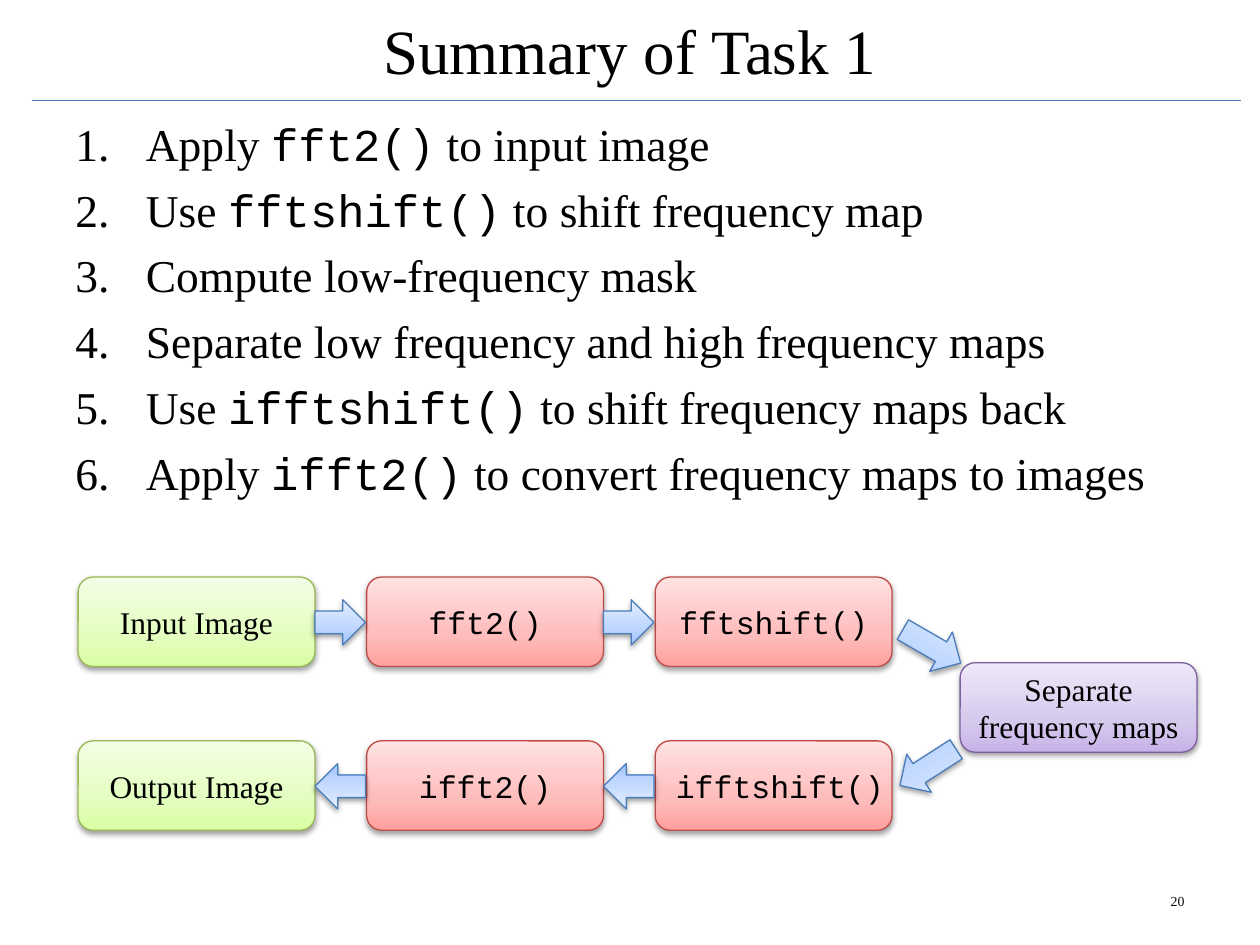
from dataclasses import dataclass

from lxml import etree
from pptx import Presentation
from pptx.dml.color import RGBColor
from pptx.enum.shapes import MSO_CONNECTOR, MSO_SHAPE
from pptx.enum.text import MSO_ANCHOR, MSO_AUTO_SIZE, PP_ALIGN
from pptx.oxml.ns import qn
from pptx.util import Inches, Pt

ROUNDED, ARROW = MSO_SHAPE.ROUNDED_RECTANGLE, MSO_SHAPE.RIGHT_ARROW
STRAIGHT = MSO_CONNECTOR.STRAIGHT
TOP, MIDDLE = MSO_ANCHOR.TOP, MSO_ANCHOR.MIDDLE
LEFT, CENTER, RIGHT = PP_ALIGN.LEFT, PP_ALIGN.CENTER, PP_ALIGN.RIGHT
FIXED = MSO_AUTO_SIZE.NONE


@dataclass(frozen=True)
class Theme:
    serif: str = "Times New Roman"
    mono: str = "Courier New"
    ink: str = "000000"
    number_ink: str = "0C0C0C"
    rule: str = "4A7DBA"
    title: float = 36
    body: float = 26
    label: float = 18
    number: float = 7.9
    line: float = 0.75
    # Each style: gradient stops from bottom to top, then the outline
    green: tuple = ("DAFEA4", "E3FEBF", "F4FEE6", "97B853")
    red: tuple = ("FFA09D", "FFBCBC", "FFE2E2", "BD4B48")
    purple: tuple = ("C8B2E9", "D6CAED", "EFE8FA", "7C5F9F")
    blue: tuple = ("9FC3FF", "BDD5FF", "E4EEFF", "4A7DBA")


THEME = Theme()
STOPS = (0, 35000, 100000)

STEPS = [
    [("Apply ", False), ("fft2()", True), (" to input image", False)],
    [("Use ", False), ("fftshift()", True), (" to shift frequency map", False)],
    [("Compute low-frequency mask", False)],
    [("Separate low frequency and high frequency maps", False)],
    [("Use ", False), ("ifftshift()", True), (" to shift frequency maps back", False)],
    [("Apply ", False), ("ifft2()", True), (" to convert frequency maps to images", False)],
]


def apply_format(target, values):
    for name, value in values.items():
        setattr(target, name, value)


def add_span(para, text, size, mono=False, color=THEME.ink):
    span = para.add_run()
    span.text = text
    apply_format(span.font, {"name": THEME.mono if mono else THEME.serif, "size": Pt(size)})
    span.font.color.rgb = RGBColor.from_string(color)


def set_frame(shape, anchor, side=0.1):
    frame = shape.text_frame
    apply_format(frame, {
        "word_wrap": True, "auto_size": FIXED, "vertical_anchor": anchor,
        "margin_left": Inches(side), "margin_right": Inches(side),
        "margin_top": Inches(0.05), "margin_bottom": Inches(0.05),
    })
    return frame


def add_color(parent, color):
    return etree.SubElement(parent, qn("a:srgbClr"), val=color)


def style_shape(shape, style):
    """Give a shape its upward gradient, outline and soft shadow."""
    *colors, outline = style
    shape.fill.gradient()
    shape.fill.gradient_angle = 90
    properties = shape.fill._xPr
    stops = properties.find(".//" + qn("a:gsLst"))
    for stop in list(stops):
        stops.remove(stop)
    for position, color in zip(STOPS, colors):
        add_color(etree.SubElement(stops, qn("a:gs"), pos=str(position)), color)
    shape.line.color.rgb = RGBColor.from_string(outline)
    shape.line.width = Pt(THEME.line)
    shape.shadow.inherit = False
    shadow = etree.SubElement(
        properties.find(qn("a:effectLst")), qn("a:outerShdw"),
        blurRad=str(Pt(3.1)), dist=str(Pt(1.6)), dir="5400000", rotWithShape="0")
    etree.SubElement(add_color(shadow, THEME.ink), qn("a:alpha"), val="37000")


def add_title(page, box, text):
    title = page.shapes.title
    apply_format(title, dict(zip(("left", "top", "width", "height"), map(Inches, box))))
    para = set_frame(title, MIDDLE).paragraphs[0]
    para.alignment = CENTER
    add_span(para, text, THEME.title)


def add_rule(page, left, right, y):
    rule = page.shapes.add_connector(
        STRAIGHT, Inches(left), Inches(y), Inches(right), Inches(y))
    rule.line.color.rgb = RGBColor.from_string(THEME.rule)
    rule.line.width = Pt(THEME.line)
    etree.SubElement(rule._element.spPr, qn("a:effectLst"))


def add_steps(page, box, steps):
    frame = set_frame(page.shapes.add_textbox(*map(Inches, box)), TOP)
    for index, step in enumerate(steps):
        para = frame.add_paragraph() if index else frame.paragraphs[0]
        para.alignment = LEFT
        if index:
            para.space_before = Pt(6.4)
        properties = para._p.get_or_add_pPr()
        properties.set("marL", str(Inches(0.56)))
        properties.set("indent", str(-Inches(0.56)))
        etree.SubElement(properties, qn("a:buFont"), typeface=THEME.serif)
        etree.SubElement(properties, qn("a:buAutoNum"), type="arabicPeriod")
        for text, mono in step:
            add_span(para, text, THEME.body, mono)


def add_stage(page, box, text, style, mono=False):
    stage = page.shapes.add_shape(ROUNDED, *map(Inches, box))
    style_shape(stage, style)
    frame = set_frame(stage, MIDDLE, 0.05)
    para = frame.paragraphs[0]
    para.alignment = CENTER
    add_span(para, text, THEME.label, mono)
    return frame


def add_arrow(page, box, angle=0):
    arrow = page.shapes.add_shape(ARROW, *map(Inches, box))
    arrow.rotation = angle
    style_shape(arrow, THEME.blue)


def add_flow(page, box):
    """Draw the forward row, the return row and the stage that joins them."""
    left, top, width, height = box
    stage_width, stage_height, pitch = 1.88, 0.71, 2.29
    return_top = top + height - stage_height
    rows = [
        (top, 0, [("Input Image", THEME.green, False), ("fft2()", THEME.red, True),
                  ("fftshift()", THEME.red, True)]),
        (return_top, 180, [("Output Image", THEME.green, False), ("ifft2()", THEME.red, True),
                           ("ifftshift()", THEME.red, True)]),
    ]
    for row_top, angle, stages in rows:
        for column, (text, style, mono) in enumerate(stages):
            frame = add_stage(page, (left + column * pitch, row_top, stage_width, stage_height),
                              text, style, mono)
        if angle:  # the longest label sits slightly right of centre
            frame.margin_left, frame.margin_right = Inches(0.1), 0
        for column in range(len(stages) - 1):
            add_arrow(page, (left + stage_width + column * pitch, row_top + 0.18, 0.4, 0.36), angle)
    add_stage(page, (left + width - stage_width, top + 0.68, stage_width, stage_height),
              "Separate frequency maps", THEME.purple)
    add_arrow(page, (left + 6.51, top + 0.37, 0.53, 0.36), 30)
    add_arrow(page, (left + 6.48, return_top + 0.03, 0.53, 0.36), 147.2)


def add_page_number(page, box, text):
    para = set_frame(page.shapes.add_textbox(*map(Inches, box)), MIDDLE).paragraphs[0]
    para.alignment = RIGHT
    add_span(para, text, THEME.number, color=THEME.number_ink)


def main():
    deck = Presentation()
    deck.slide_width, deck.slide_height = Inches(10), Inches(7.5)
    page = deck.slides.add_slide(deck.slide_layouts.get_by_name("Title Only"))
    add_rule(page, 0.25, 9.85, 0.8)
    add_title(page, (0.5, 0.06, 9, 0.67), "Summary of Task 1")
    add_steps(page, (0.5, 0.87, 9, 6.08), STEPS)
    add_page_number(page, (7.17, 6.95, 2.33, 0.4), "20")
    add_flow(page, (0.62, 4.58, 8.88, 2.01))
    deck.save("out.pptx")


if __name__ == "__main__":
    main()
